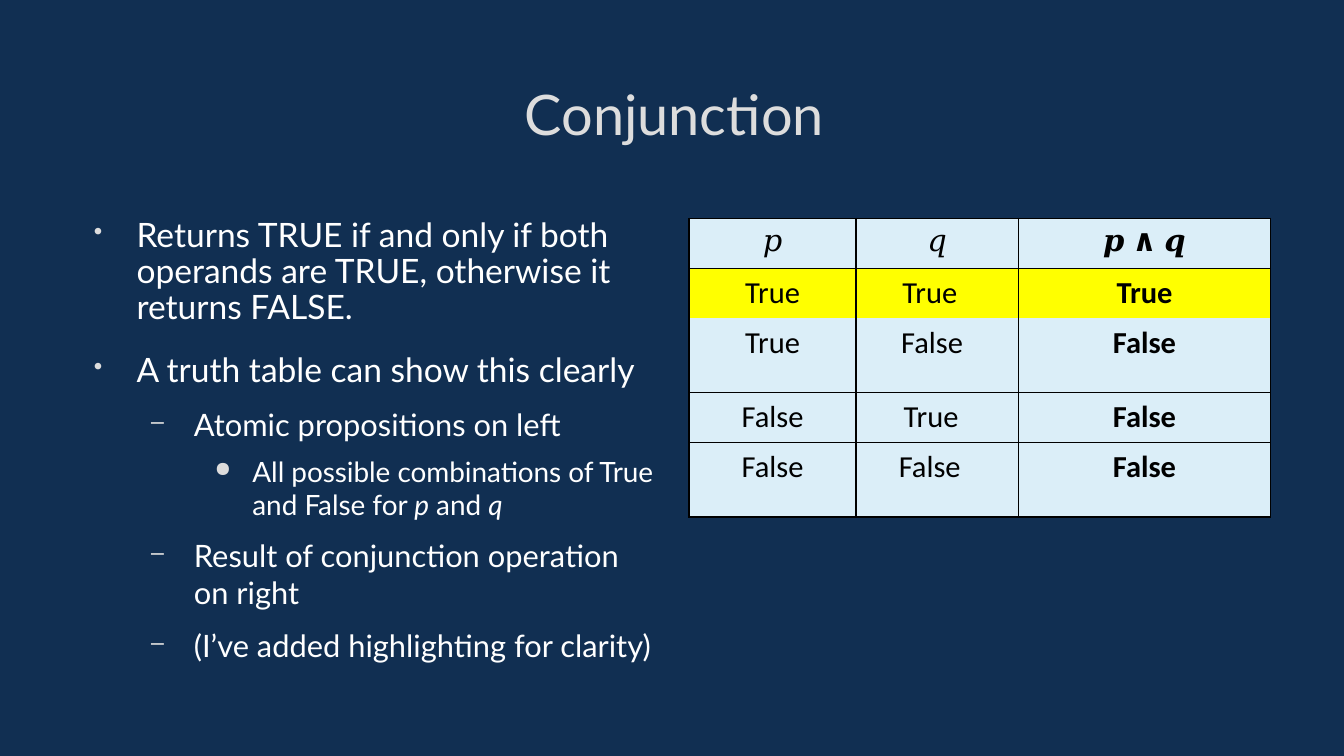
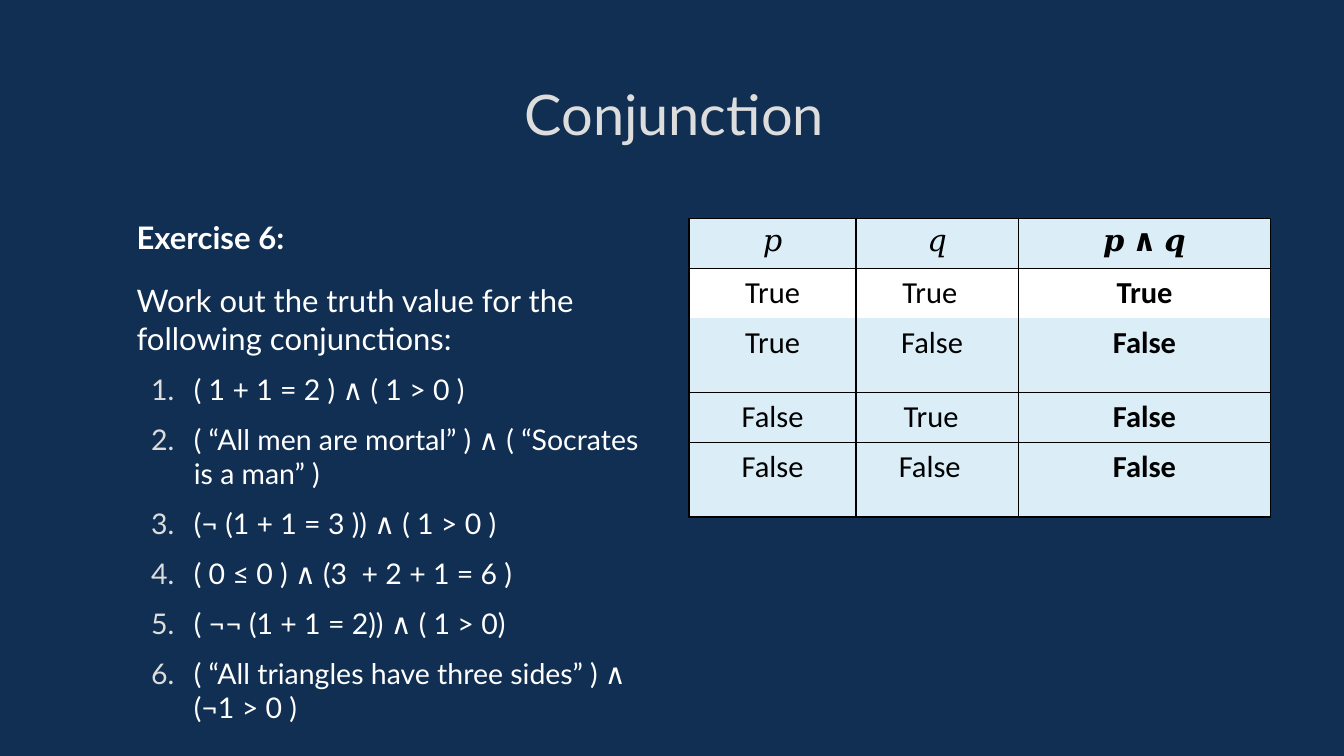
from lxml import etree
from pptx import Presentation, util as u
from pptx.dml.color import RGBColor
from pptx.enum import text
from pptx.oxml import ns

COLORS = {"navy": "112F52", "silver": "DDDDDD", "white": "FFFFFF",
          "black": "000000", "ice": "DBEEF8", "yellow": "FFFF00"}

# Slide grid: two equal columns with a gap between them
WIDTH, HEIGHT = 11.02, 6.2
LEFT, COLUMN, GAP = 0.65, 4.76, 0.24
TITLE_TOP, TITLE_HEIGHT = 0.38, 1.09
BODY_TOP, BODY_HEIGHT = 1.79, 3.58

# Body levels: left indent, hanging first line, space before
LEVELS = [(0.47, -0.35, 15.6), (0.94, -0.35, 9.3), (1.42, -0.31, 7)]
BULLETS = "•–●"

# Truth table
TABLE_COLS = [1.37, 1.33, 2.07]
TABLE_ROWS = [0.41, 0.41, 0.61, 0.41, 0.61]
HEADINGS = ["𝑝", "𝑞", "𝒑 ∧ 𝒒"]
Q_INDENTS = [0.28, 0.27, 0.29, 0.25]
BOTH_TRUE_ROW = 1

SUMMARY = [
    (0, 19.8, ["Returns TRUE if and only if both operands are TRUE, "
               "otherwise it returns FALSE."]),
    (0, 19.8, ["A truth table can show this clearly"]),
    (1, 18.2, ["Atomic propositions on left"]),
    (2, 16.5, ["All possible combinations of True and False for ",
               "p", " and ", "q"]),
    (1, 18.2, ["Result of conjunction operation on right"]),
    (1, 18.2, ["(I’ve added highlighting for clarity)"]),
]
EXERCISES = [
    "( 1 + 1 = 2 ) ∧ ( 1 > 0 )",
    "( “All men are mortal” ) ∧ ( “Socrates is a man” )",
    "(¬ (1 + 1 = 3 )) ∧ ( 1 > 0 )",
    "( 0 ≤ 0 ) ∧ (3  + 2 + 1 = 6 )",
    "( ¬¬ (1 + 1 = 2)) ∧ ( 1 > 0)",
    "( “All triangles have three sides” ) ∧ (¬1 > 0 )",
]


def rgb(name):
    return RGBColor.from_string(COLORS[name])


def sub(parent, tag, **attrs):
    return etree.SubElement(parent, ns.qn(tag), attrs)


def style_runs(paragraph, size, color, font="Lato", bold=False):
    for run in paragraph.runs:
        run.font.size = u.Pt(size)
        run.font.name = font
        run.font.bold = bold
        run.font.color.rgb = rgb(color)


def add_frame(slide, top, width, height):
    frame = slide.shapes.add_textbox(
        *map(u.Inches, (LEFT, top, width, height))).text_frame
    frame.word_wrap = True
    frame.margin_left = frame.margin_right = 0
    frame.margin_top = frame.margin_bottom = 0
    return frame


def set_indent(paragraph, left, first=0):
    props = paragraph._p.get_or_add_pPr()
    props.set("marL", str(u.Inches(left)))
    props.set("indent", str(u.Inches(first)))
    return props


def add_item(frame, level, size, pieces, marker=None, bold=False):
    """Add a body paragraph; marker is None, "number" or a bullet."""
    paragraph = frame.paragraphs[0]
    if paragraph.runs:
        paragraph = frame.add_paragraph()
    for piece in pieces:
        paragraph.add_run().text = piece
    style_runs(paragraph, size, "white", bold=bold)

    left, first, before = LEVELS[level]
    paragraph.level = level
    paragraph.space_before = u.Pt(before)
    props = set_indent(paragraph, left, first if marker else 0)
    if marker is None:
        sub(props, "a:buNone")
        return paragraph
    sub(sub(props, "a:buClr"), "a:srgbClr", val=COLORS["silver"])
    if marker == "number":
        sub(props, "a:buAutoNum", type="arabicPeriod")
    else:
        sub(props, "a:buSzPct", val="75000")
        sub(props, "a:buChar", char=marker)
    return paragraph


def set_borders(cell, sides):
    props = cell._tc.get_or_add_tcPr()
    for place, side in enumerate("LRTB"):
        line = etree.Element(ns.qn(f"a:ln{side}"), w=str(u.Pt(0.96)))
        if side in sides:
            sub(sub(line, "a:solidFill"), "a:srgbClr", val=COLORS["black"])
        else:
            sub(line, "a:noFill")
        props.insert(place, line)


def fill_cell(cell, value, fill, sides, font, bold=False, indent=None):
    cell.fill.solid()
    cell.fill.fore_color.rgb = rgb(fill)
    set_borders(cell, sides)
    paragraph = cell.text_frame.paragraphs[0]
    paragraph.text = value
    paragraph.space_before = u.Pt(2.4)
    style_runs(paragraph, 18, "black", font, bold)
    if indent is None:
        paragraph.alignment = text.PP_ALIGN.CENTER
    else:
        set_indent(paragraph, indent)


def add_truth_table(slide, both_true_fill):
    table = slide.shapes.add_table(
        len(TABLE_ROWS), len(TABLE_COLS),
        *map(u.Inches, (LEFT + COLUMN + GAP, BODY_TOP, COLUMN,
                        sum(TABLE_ROWS)))).table
    table.first_row = table.horz_banding = False
    for column, width in zip(table.columns, TABLE_COLS):
        column.width = u.Inches(width)
    for row, height in zip(table.rows, TABLE_ROWS):
        row.height = u.Inches(height)

    for c, heading in enumerate(HEADINGS):
        fill_cell(table.cell(0, c), heading, "ice", "LRTB", "Times New Roman")
    # No line is drawn between the both-true row and the next one
    open_sides = {BOTH_TRUE_ROW: "LRT", BOTH_TRUE_ROW + 1: "LRB"}
    cases = [(p, q) for p in (True, False) for q in (True, False)]
    for r, (p, q) in enumerate(cases, start=1):
        fill = both_true_fill if r == BOTH_TRUE_ROW else "ice"
        for c, value in enumerate((p, q, p and q)):
            fill_cell(table.cell(r, c), str(value), fill,
                      open_sides.get(r, "LRTB"), "Calibri", bold=c == 2,
                      indent=Q_INDENTS[r - 1] if c == 1 else None)


def add_conjunction_slide(deck, both_true_fill):
    """Add the shared background, title and table; return the body frame."""
    slide = deck.slides.add_slide(deck.slide_layouts[6])
    slide.background.fill.solid()
    slide.background.fill.fore_color.rgb = rgb("navy")
    title = add_frame(slide, TITLE_TOP, WIDTH - 2 * LEFT + 0.04, TITLE_HEIGHT)
    title.text = "Conjunction"
    title.vertical_anchor = text.MSO_ANCHOR.MIDDLE
    title.paragraphs[0].alignment = text.PP_ALIGN.CENTER
    style_runs(title.paragraphs[0], 33, "silver")
    body = add_frame(slide, BODY_TOP, COLUMN, BODY_HEIGHT)
    add_truth_table(slide, both_true_fill)
    return body


def main():
    deck = Presentation()
    deck.slide_width, deck.slide_height = u.Inches(WIDTH), u.Inches(HEIGHT)

    # Definition
    body = add_conjunction_slide(deck, "yellow")
    for level, size, pieces in SUMMARY:
        item = add_item(body, level, size, pieces, BULLETS[level])
        if level == 0:
            item.line_spacing = 0.9
        for variable in item.runs[1::2]:
            variable.font.italic = True

    # Exercise
    body = add_conjunction_slide(deck, "white")
    add_item(body, 0, 18.3, ["Exercise 6:"], bold=True)
    add_item(body, 0, 18.3, ["Work out the truth value for the "
                             "following conjunctions:"])
    for exercise in EXERCISES:
        add_item(body, 1, 16.8, [exercise], "number")

    deck.save("out.pptx")


if __name__ == "__main__":
    main()
